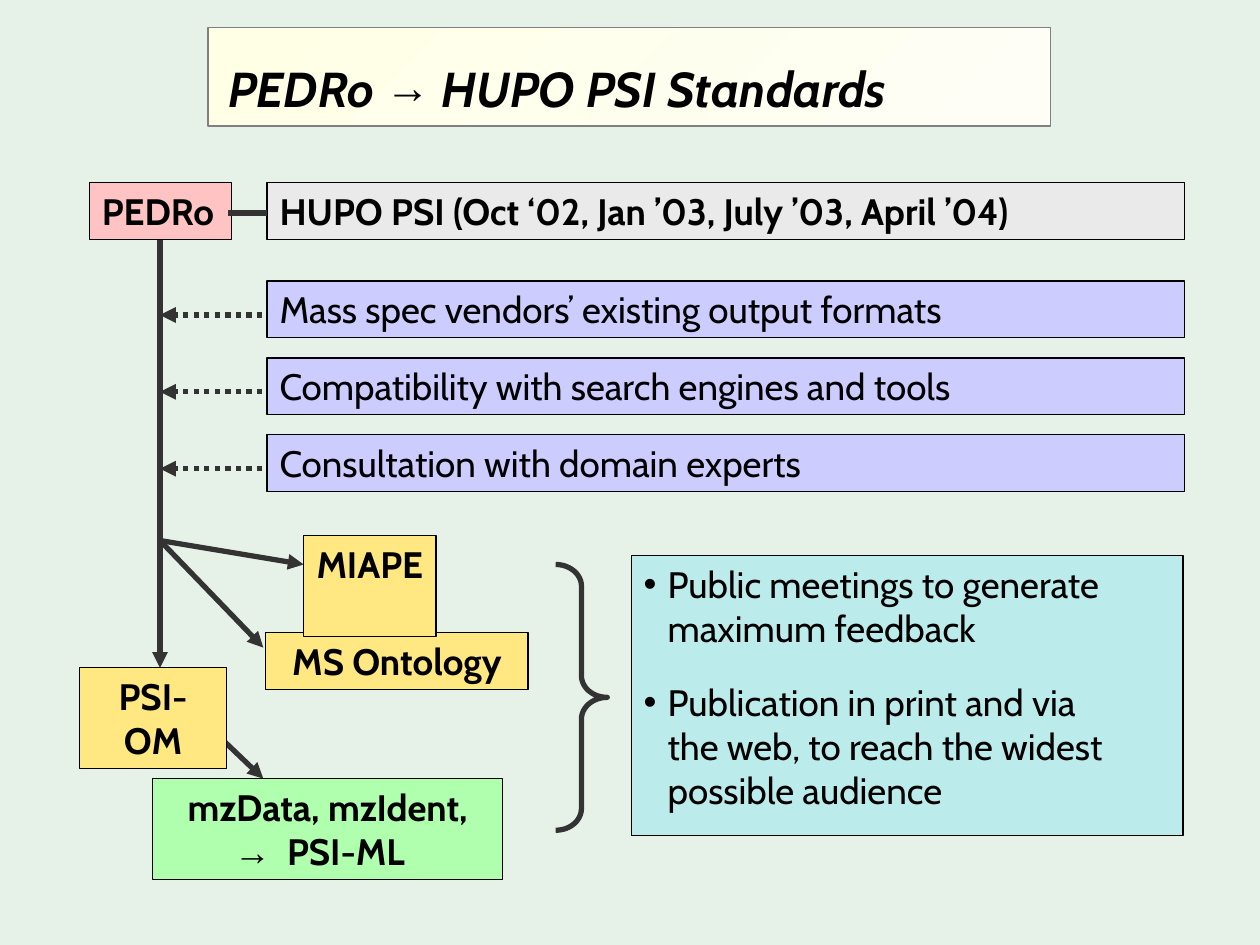
"""Build the PEDRo to HUPO PSI standards slide."""
from lxml import etree
from pptx import Presentation
from pptx import util as u
from pptx.dml.color import RGBColor
from pptx.enum import dml, shapes, text
from pptx.oxml import ns

BACKGROUND = RGBColor(0xE6, 0xF2, 0xE7)
CREAM = RGBColor(0xFE, 0xFE, 0xF6)
YELLOW = RGBColor(0xFF, 0xFF, 0xE6)
GRAY = RGBColor(0x80, 0x80, 0x80)
DARK = RGBColor(0x33, 0x33, 0x33)
BLACK = RGBColor(0, 0, 0)
LAVENDER = RGBColor(0xCC, 0xCC, 0xFF)
AQUA = RGBColor(0xBB, 0xEC, 0xEB)
PINK = RGBColor(0xFF, 0xC3, 0xC3)
GREEN = RGBColor(0xAF, 0xFF, 0xAF)
GOLD = RGBColor(0xFF, 0xE7, 0x81)
SILVER = RGBColor(0xEA, 0xEA, 0xEA)
LEFT, CENTER = text.PP_ALIGN.LEFT, text.PP_ALIGN.CENTER

presentation = Presentation()
presentation.slide_width, presentation.slide_height = u.Inches(10), u.Inches(7.5)
slide = presentation.slides.add_slide(presentation.slide_layouts[6])
slide.background.fill.solid()
slide.background.fill.fore_color.rgb = BACKGROUND


def add_box(bounds, color, lines, align=LEFT, bold=False):
    shape = slide.shapes.add_shape(
        shapes.MSO_SHAPE.RECTANGLE, *[u.Inches(value) for value in bounds])
    shape.shadow.inherit = False
    shape.fill.solid()
    shape.fill.fore_color.rgb = color
    shape.line.color.rgb = BLACK
    shape.line.width = u.Pt(0.75)
    frame = shape.text_frame
    frame.word_wrap = True
    frame.vertical_anchor = text.MSO_ANCHOR.TOP
    for index, line in enumerate(lines):
        paragraph = frame.paragraphs[0] if index == 0 else frame.add_paragraph()
        paragraph.alignment = align
        for part_index, part in enumerate(line.split("\n")):
            if part_index:
                paragraph.add_line_break()
            run = paragraph.add_run()
            run.text = part
            run.font.name = "Cabin"
            run.font.size = u.Pt(21)
            run.font.bold = bold
            run.font.color.rgb = BLACK
    return shape


def add_line(start, end, arrow=True, dotted=False):
    connector = slide.shapes.add_connector(
        shapes.MSO_CONNECTOR.STRAIGHT, *[u.Inches(value) for value in start + end])
    connector.line.color.rgb = DARK
    connector.line.width = u.Pt(3)
    if dotted:
        connector.line.dash_style = dml.MSO_LINE.ROUND_DOT
    if arrow:
        etree.SubElement(connector.line._get_or_add_ln(), ns.qn("a:tailEnd"), type="triangle")
    etree.SubElement(connector._element.spPr, ns.qn("a:effectLst"))


title = add_box((1.65, 0.22, 6.69, 0.78), CREAM, ["PEDRo ", ], bold=True)
title.fill.gradient()
title.fill.gradient_angle = 135
for stop, color, position in zip(title.fill.gradient_stops, (CREAM, YELLOW), (0, 1)):
    stop.color.rgb = color
    stop.position = position
title.line.color.rgb = GRAY
title.text_frame.margin_left = u.Inches(0.16)
title.text_frame.vertical_anchor = text.MSO_ANCHOR.MIDDLE
paragraph = title.text_frame.paragraphs[0]
for content in ("→", " HUPO PSI Standards"):
    paragraph.add_run().text = content
for run, name, size, italic in zip(
        paragraph.runs, ("Cabin", "Arial", "Cabin"), (28, 44, 28), (True, False, True)):
    run.font.name = name
    run.font.size = u.Pt(size)
    run.font.bold = True
    run.font.italic = italic
    run.font.color.rgb = BLACK
paragraph.runs[1].font._element.set("baseline", "6000")

add_line((1.65, 5.76), (2.09, 6.18))
add_line((1.27, 1.9), (1.27, 4.29), arrow=False)

inputs = ("Mass spec vendors’ existing output formats",
          "Compatibility with search engines and tools",
          "Consultation with domain experts")
for index, content in enumerate(inputs):
    top = 2.23 + 0.61 * index
    add_box((2.12, top, 7.28, 0.45), LAVENDER, [content])
    add_line((2.08, top + 0.27), (1.27, top + 0.27), dotted=True)

outreach = add_box((5.01, 4.41, 4.38, 2.22), AQUA, [
    "Public meetings to generate\nmaximum feedback",
    "Publication in print and via\nthe web, to reach the widest\npossible audience"])
for paragraph in outreach.text_frame.paragraphs:
    properties = paragraph._p.get_or_add_pPr()
    properties.set("marL", str(u.Inches(0.19)))
    properties.set("indent", str(-u.Inches(0.19)))
    etree.SubElement(properties, ns.qn("a:buFont"), typeface="Arial")
    etree.SubElement(properties, ns.qn("a:buChar"), char="•")
outreach.text_frame.paragraphs[1].space_before = u.Pt(17)

brace = slide.shapes.add_shape(
    shapes.MSO_SHAPE.RIGHT_BRACE, u.Inches(4.41), u.Inches(4.48), u.Inches(0.41), u.Inches(2.11))
brace.shadow.inherit = False
brace.fill.background()
brace.line.color.rgb = DARK
brace.line.width = u.Pt(3)
brace.adjustments[0] = 0.42

for end in ((2.09, 5.14), (1.27, 5.3), (2.41, 4.48)):
    add_line((1.27, 4.29), end)

add_box((0.71, 1.45, 1.13, 0.45), PINK, ["PEDRo"], bold=True)
formats = add_box((1.21, 6.18, 2.78, 0.8), GREEN, ["mzData, mzIdent,", "→"], CENTER, True)
paragraph = formats.text_frame.paragraphs[1]
paragraph.alignment = LEFT
paragraph._p.get_or_add_pPr().set("marL", str(u.Inches(0.55)))
arrow = paragraph.runs[0]
arrow.font.name = "Arial"
arrow.font._element.set("spc", "450")
run = paragraph.add_run()
run.text = " PSI-ML"
run.font.name = "Cabin"
run.font.size = u.Pt(21)
run.font.bold = True
run.font.color.rgb = BLACK

for bounds, content in (((2.11, 5.02, 2.08, 0.45), "MS Ontology"),
                        ((2.41, 4.25, 1.05, 0.8), "MIAPE"),
                        ((0.63, 5.3, 1.17, 0.8), "PSI-OM")):
    add_box(bounds, GOLD, [content], CENTER, True)
add_box((2.12, 1.45, 7.28, 0.45), SILVER,
        ["HUPO PSI (Oct ‘02, Jan ’03, July ’03, April ’04)"], bold=True)
add_line((1.81, 1.69), (2.12, 1.69), arrow=False)

presentation.save("out.pptx")
